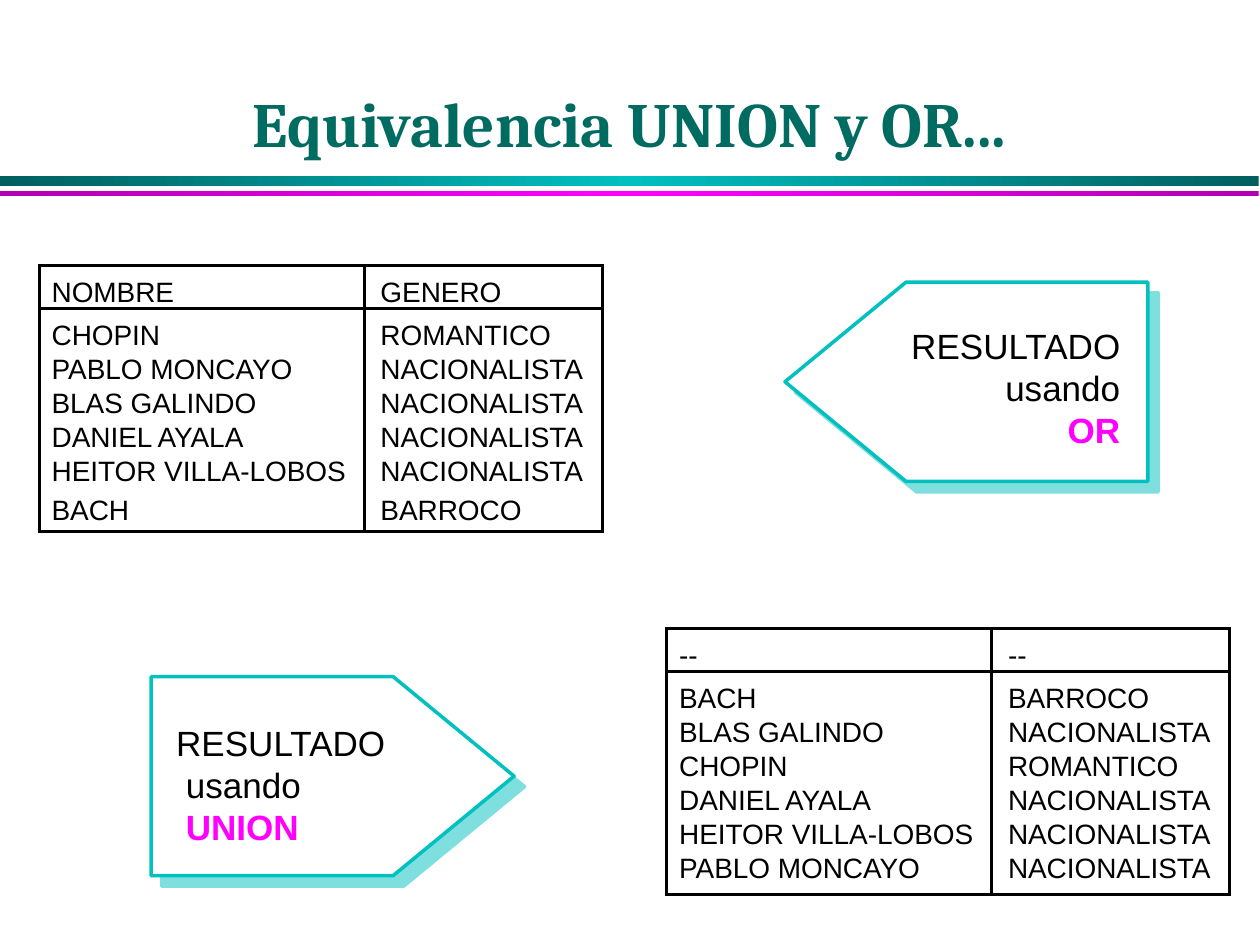
from copy import deepcopy
from dataclasses import dataclass

from lxml import etree
from pptx import Presentation
from pptx.dml.color import RGBColor
from pptx.enum.text import MSO_ANCHOR, PP_ALIGN
from pptx.enum.shapes import MSO_SHAPE
from pptx.oxml.ns import qn
from pptx.util import Inches, Pt

LEFT, CENTER, RIGHT = PP_ALIGN.LEFT, PP_ALIGN.CENTER, PP_ALIGN.RIGHT
BOTTOM, RECT = MSO_ANCHOR.BOTTOM, MSO_SHAPE.RECTANGLE


@dataclass(frozen=True)
class Theme:
    title_font: str = "Cambria"
    body_font: str = "Arial"
    title_size: int = 36
    label_size: int = 20
    table_size: int = 16
    line_width: int = 2
    title: str = "006B61"
    text: str = "000000"
    paper: str = "FFFFFF"
    teal: str = "00C0C0"
    teal_dark: str = "005F5F"
    magenta: str = "FF00FF"
    magenta_dark: str = "B100B1"


def rgb(value):
    return RGBColor.from_string(value)


def write(p, text, *, font, size, color, bold=False, align=LEFT, spacing=None):
    p.alignment = align
    p.line_spacing = spacing
    r = p.add_run()
    r.text = text
    r.font.name, r.font.size, r.font.bold = font, Pt(size), bold
    r.font.color.rgb = rgb(color)


def child(parent, tag, **attrs):
    return etree.SubElement(parent, qn(tag), attrs)


class SlideBuilder:
    """Draws each kind of element on the current slide in one style."""

    def __init__(self, slide, theme):
        self.slide, self.theme = slide, theme

    def title(self, text):
        sp = self.slide.shapes.title
        sp.left, sp.top = Inches(1.08), Inches(0.08)
        sp.width, sp.height = Inches(7.83), Inches(1.25)
        sp.text_frame.vertical_anchor = BOTTOM
        write(sp.text_frame.paragraphs[0], text, font=self.theme.title_font,
              size=self.theme.title_size, color=self.theme.title,
              bold=True, align=CENTER, spacing=0.9)

    def bar(self, top, height, edge, middle):
        """Full-width bar whose gradient runs edge, middle, edge."""
        sp = self.slide.shapes.add_shape(
            RECT, 0, Inches(top), Inches(9.99), Inches(height))
        sp.shadow.inherit = False
        sp.line.fill.background()
        sp.fill.gradient()
        sp.fill.gradient_angle = 0
        first, second = sp.fill.gradient_stops
        first.color.rgb, first.position = rgb(edge), 0
        second.color.rgb, second.position = rgb(middle), 0.5
        stops = sp._element.spPr.find(".//" + qn("a:gsLst"))
        last = deepcopy(stops[0])
        last.set("pos", "100000")
        stops.append(last)

    def border(self, cell, sides):
        """Draw the named sides (L, R, T, B) of a cell and clear the others."""
        tc_pr = cell._tc.get_or_add_tcPr()
        for i, side in enumerate("LRTB"):
            ln = etree.Element(qn(f"a:ln{side}"),
                               w=str(Pt(self.theme.line_width)))
            if side in sides:
                fill = child(ln, "a:solidFill")
                child(fill, "a:srgbClr", val=self.theme.text)
            else:
                child(ln, "a:noFill")
            tc_pr.insert(i, ln)

    def table(self, left, top, rows, last_margin):
        widths = (2.58, 1.89)
        heights = [0.34, 0.34] + [0.27] * (len(rows) - 3) + [0.35]
        table = self.slide.shapes.add_table(
            len(rows), len(widths), Inches(left), Inches(top),
            Inches(sum(widths)), Inches(sum(heights))).table
        for column, width in zip(table.columns, widths):
            column.width = Inches(width)
        last = len(rows) - 1
        for i, (values, height) in enumerate(zip(rows, heights)):
            table.rows[i].height = Inches(height)
            sides = "LR" + {0: "TB", 1: "T", last: "B"}.get(i, "")
            for j, value in enumerate(values):
                cell = table.cell(i, j)
                cell.fill.solid()
                cell.fill.fore_color.rgb = rgb(self.theme.paper)
                cell.margin_left = Inches((0.1, 0.13)[j])
                cell.margin_right = cell.margin_top = 0
                cell.margin_bottom = Inches(last_margin if i == last else 0)
                cell.vertical_anchor = BOTTOM
                write(cell.text_frame.paragraphs[0], value,
                      font=self.theme.body_font, size=self.theme.table_size,
                      color=self.theme.text)
                self.border(cell, sides)

    def arrow(self, flat, top, direction):
        """Pentagon with its flat side at x = flat, pointing to direction (±1)."""
        height = 1.58
        shoulder, tip = flat + 1.92 * direction, flat + 2.88 * direction
        points = [(flat, top), (shoulder, top), (tip, top + height / 2),
                  (shoulder, top + height), (flat, top + height)]
        points = [(Inches(x), Inches(y)) for x, y in points]
        builder = self.slide.shapes.build_freeform(*points[0])
        builder.add_line_segments(points[1:], close=True)
        sp = builder.convert_to_shape()
        sp.fill.solid()
        sp.fill.fore_color.rgb = rgb(self.theme.paper)
        sp.line.color.rgb = rgb(self.theme.teal)
        sp.line.width = Pt(self.theme.line_width)
        sp.shadow.inherit = False
        effects = sp._element.spPr.find(qn("a:effectLst"))
        shadow = child(effects, "a:outerShdw", dist=str(Pt(8.5)),
                       dir="2700000", algn="ctr", rotWithShape="0")
        color = child(shadow, "a:srgbClr", val=self.theme.teal)
        child(color, "a:alpha", val="50000")

    def label(self, left, top, operator, align):
        tf = self.slide.shapes.add_textbox(
            Inches(left), Inches(top), Inches(1.9), Inches(1.1)).text_frame
        tf.word_wrap = True
        lines = (("RESULTADO", self.theme.text, False),
                 (" usando", self.theme.text, False),
                 (f" {operator}", self.theme.magenta, True))
        for i, (text, color, bold) in enumerate(lines):
            p = tf.add_paragraph() if i else tf.paragraphs[0]
            write(p, text, font=self.theme.body_font,
                  size=self.theme.label_size, color=color, bold=bold,
                  align=align, spacing=Pt(24))


def main():
    prs = Presentation()
    prs.slide_width, prs.slide_height = Inches(10), Inches(7.5)
    theme = Theme()
    s = SlideBuilder(prs.slides.add_slide(prs.slide_layouts[5]), theme)

    s.bar(1.4, 0.08, theme.teal_dark, theme.teal)
    s.bar(1.52, 0.04, theme.magenta_dark, theme.magenta)
    s.title("Equivalencia UNION y OR...")

    composers = [
        ("CHOPIN", "ROMANTICO"),
        ("PABLO MONCAYO", "NACIONALISTA"),
        ("BLAS GALINDO", "NACIONALISTA"),
        ("DANIEL AYALA", "NACIONALISTA"),
        ("HEITOR VILLA-LOBOS", "NACIONALISTA"),
        ("BACH", "BARROCO"),
    ]
    s.table(0.31, 2.11, [("NOMBRE", "GENERO")] + composers, 0.04)
    s.table(5.29, 4.99, [("--", "--")] + sorted(composers), 0.08)

    s.arrow(9.11, 2.24, -1)
    s.label(7.09, 2.53, "OR", RIGHT)
    s.arrow(1.2, 5.37, 1)
    s.label(1.3, 5.68, "UNION", LEFT)

    prs.save("out.pptx")


if __name__ == "__main__":
    main()
